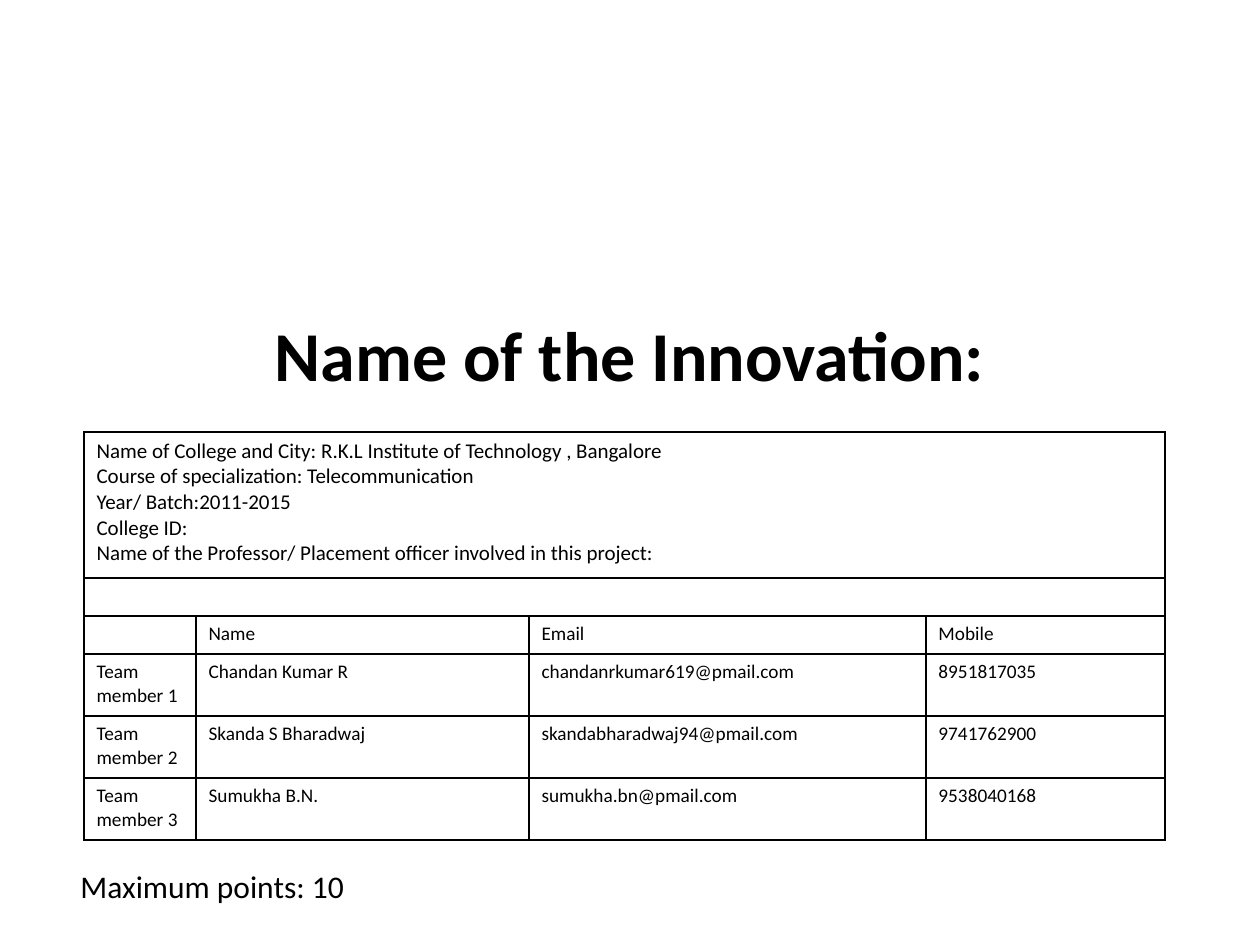
import pptx
import pptx.dml.color
import pptx.enum.text
import pptx.oxml.ns
import pptx.util
from lxml import etree

SCALE = 914400 // 126
COLORS = {"ink": "000000", "paper": "FFFFFF"}
BODY = {"name": "Calibri", "bold": False}
TITLE_FONT = {**BODY, "size": pptx.util.Pt(40), "bold": True}
DETAIL_FONT = {**BODY, "size": pptx.util.Pt(12)}
MEMBER_FONT = {**BODY, "size": pptx.util.Pt(11)}
NOTE_FONT = {**BODY, "size": pptx.util.Pt(18)}

DETAILS = [
    "Name of College and City: R.K.L Institute of Technology , Bangalore",
    "Course of specialization: Telecommunication",
    "Year/ Batch:2011-2015",
    "College ID:",
    "Name of the Professor/ Placement officer involved in this project:",
]
MEMBERS = [
    ("", "Name", "Email", "Mobile"),
    ("Team member 1", "Chandan Kumar R", "chandanrkumar619@pmail.com", "8951817035"),
    ("Team member 2", "Skanda S Bharadwaj", "skandabharadwaj94@pmail.com", "9741762900"),
    ("Team member 3", "Sumukha B.N.", "sumukha.bn@pmail.com", "9538040168"),
]
COLUMN_SHARES = [112, 333, 397, 239]
ROW_HEIGHTS = [146, 38, 38, 62, 62, 62]


def px(length):
    """Turn pixels into EMU."""
    return pptx.util.Emu(round(length * SCALE))


def color(name):
    """Look up a named colour."""
    return pptx.dml.color.RGBColor.from_string(COLORS[name])


def write(frame, lines, font, align=pptx.enum.text.PP_ALIGN.LEFT):
    """Write one formatted paragraph for each line."""
    for index, line in enumerate(lines):
        para = frame.add_paragraph() if index else frame.paragraphs[0]
        para.alignment = align
        span = para.add_run()
        span.text = line
        for name, value in font.items():
            setattr(span.font, name, value)
        span.font.color.rgb = color("ink")


def set_empty_size(cell, size):
    """Give an empty cell the line height of the given text size."""
    para = cell.text_frame.paragraphs[0]
    tag = pptx.oxml.ns.qn("a:endParaRPr")
    etree.SubElement(para._p, tag, sz=str(round(size.pt * 100)))


def set_borders(cell):
    """Draw a thin line on all four sides of a cell."""
    properties = cell._tc.get_or_add_tcPr()
    for index, side in enumerate(("lnL", "lnR", "lnT", "lnB")):
        line = etree.Element(pptx.oxml.ns.qn("a:" + side), w="12700")
        fill = etree.SubElement(line, pptx.oxml.ns.qn("a:solidFill"))
        etree.SubElement(fill, pptx.oxml.ns.qn("a:srgbClr"), val=COLORS["ink"])
        properties.insert(index, line)


def place_title(page, left, top, width, height):
    """Place the title, raised above the table by a deep bottom inset."""
    title = page.shapes.title
    title.left, title.top, title.width, title.height = map(px, (left, top, width, height))
    frame = title.text_frame
    settings = {
        "auto_size": pptx.enum.text.MSO_AUTO_SIZE.NONE,
        "vertical_anchor": pptx.enum.text.MSO_ANCHOR.MIDDLE,
        "margin_bottom": px(91),
        "word_wrap": True,
    }
    for name, value in settings.items():
        setattr(frame, name, value)
    write(frame, ["Name of the Innovation:"], TITLE_FONT, pptx.enum.text.PP_ALIGN.CENTER)


def place_team_table(page, left, top, width):
    """Place the college details and the team members in one table."""
    rows, columns = len(ROW_HEIGHTS), len(COLUMN_SHARES)
    box = page.shapes.add_table(
        rows, columns, px(left), px(top), px(width), px(sum(ROW_HEIGHTS)))
    table = box.table
    table.first_row = table.horz_banding = False
    for column, share in zip(table.columns, COLUMN_SHARES):
        column.width = px(width * share / sum(COLUMN_SHARES))
    for row, height in zip(table.rows, ROW_HEIGHTS):
        row.height = px(height)
    for index in range(rows - len(MEMBERS)):
        table.cell(index, 0).merge(table.cell(index, columns - 1))
    write(table.cell(0, 0).text_frame, DETAILS, DETAIL_FONT)
    for index, member in enumerate(MEMBERS, rows - len(MEMBERS)):
        for column, text in enumerate(member):
            if text:
                write(table.cell(index, column).text_frame, [text], MEMBER_FONT)
    for cell in table.iter_cells():
        cell.fill.solid()
        cell.fill.fore_color.rgb = color("paper")
        set_borders(cell)
        if not cell.text_frame.text:
            set_empty_size(cell, MEMBER_FONT["size"])


def place_points(page, left, top, width, height):
    """Place the note on points below the table."""
    box = page.shapes.add_textbox(*map(px, (left, top, width, height)))
    box.text_frame.word_wrap = False
    write(box.text_frame, ["Maximum points: 10"], NOTE_FONT)


def build():
    """Build the deck with its single page."""
    deck = pptx.Presentation()
    deck.slide_width, deck.slide_height = px(1260), px(945)
    page = deck.slides.add_slide(deck.slide_layouts.get_by_name("Title Only"))
    place_title(page, 94, 294, 1071, 203)
    place_team_table(page, 84, 432, 1081)
    place_points(page, 68, 861, 299, 50)
    deck.save("out.pptx")


build()
